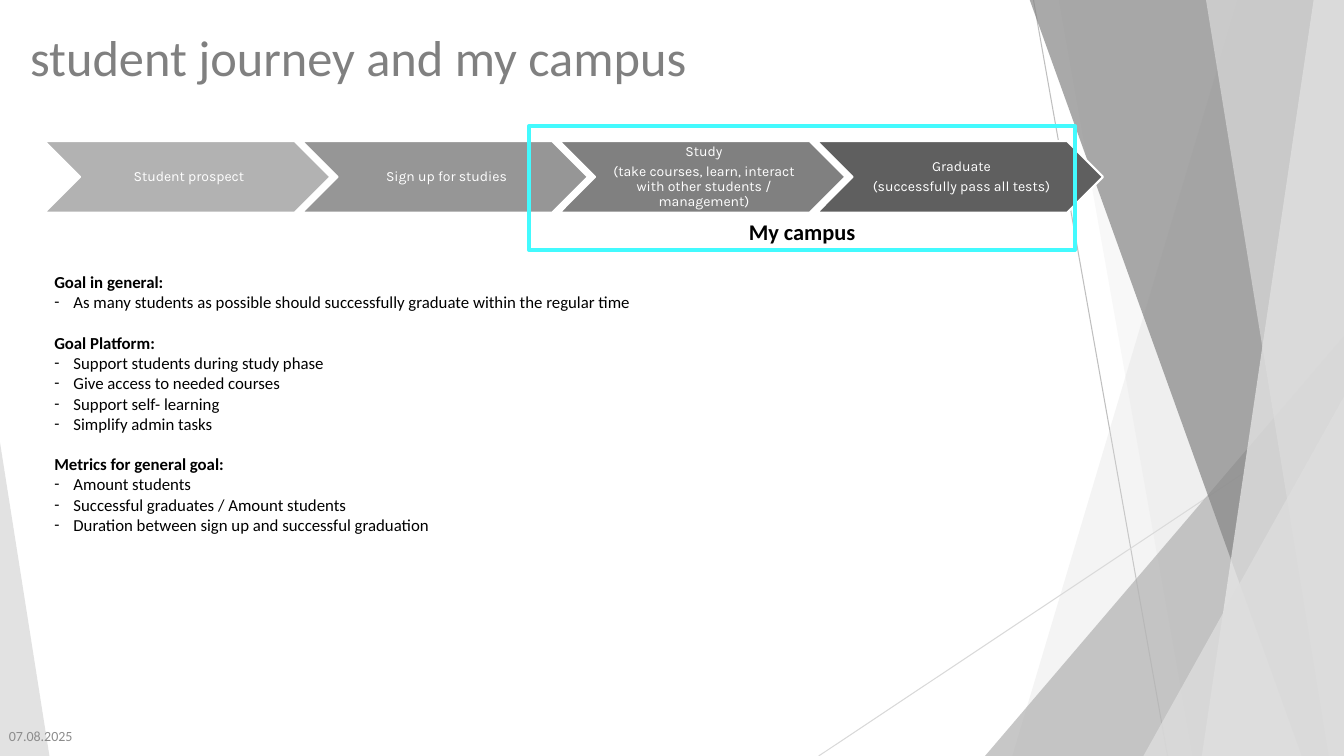
from dataclasses import dataclass

from lxml.etree import SubElement
from pptx import Presentation
from pptx.dml.color import RGBColor
from pptx.enum.shapes import MSO_CONNECTOR, MSO_SHAPE
from pptx.enum.text import MSO_ANCHOR as Anchor, MSO_AUTO_SIZE, PP_ALIGN as Align
from pptx.oxml.ns import qn
from pptx.util import Inches, Pt


@dataclass(frozen=True)
class Theme:
    """Colours, fonts and type sizes of the slide."""
    font: str = "Calibri"
    step_font: str = "Karla"
    title_size: int = 36
    label_size: int = 16
    body_size: int = 12
    small_size: int = 10
    ink: str = "000000"
    title: str = "808080"
    date: str = "8C8C8C"
    white: str = "FFFFFF"
    frame: str = "43FAFE"
    steps: tuple = ("B2B2B2", "969696", "808080", "5F5F5F")
    lines: tuple = ("BFBFBF", "D9D9D9")
    pale: str = "DDDDDD"
    light: str = "EBEBEB"
    mid: str = "B2B2B2"
    dark: str = "858585"


@dataclass(frozen=True)
class Box:
    """A rectangle in inches."""
    left: float
    top: float
    width: float
    height: float

    def lengths(self):
        """Return the four lengths that python-pptx expects."""
        return [Inches(value) for value in (self.left, self.top, self.width, self.height)]


THEME = Theme()
STEPS = (
    ("Student prospect",),
    ("Sign up for studies",),
    ("Study", "(take courses, learn, interact with other students / management)"),
    ("Graduate", "(successfully pass all tests)"),
)
GOALS = {
    "Goal in general:": (
        "As many students as possible should successfully graduate within the regular time",
    ),
    "Goal Platform:": (
        "Support students during study phase",
        "Give access to needed courses",
        "Support self- learning",
        "Simplify admin tasks",
    ),
    "Metrics for general goal:": (
        "Amount students",
        "Successful graduates / Amount students",
        "Duration between sign up and successful graduation",
    ),
}


def style(paragraph, size, colour, font=THEME.font, bold=False):
    """Format every run of a paragraph."""
    for run in paragraph.runs:
        run.font.name = font
        run.font.size = Pt(size)
        run.font.bold = bold
        run.font.color.rgb = RGBColor.from_string(colour)


def paint(shape, colour, opacity=100):
    """Fill a shape without outline or shadow."""
    shape.shadow.inherit = False
    shape.line.fill.background()
    shape.fill.solid()
    shape.fill.fore_color.rgb = RGBColor.from_string(colour)
    if opacity < 100:
        colour_element = shape.fill._xPr.find(qn("a:solidFill"))[0]
        SubElement(colour_element, qn("a:alpha"), val=str(opacity * 1000))


def outline(shape, colour, width):
    """Draw the outline of a shape or connector."""
    shape.line.color.rgb = RGBColor.from_string(colour)
    shape.line.width = Pt(width)


def add_text(slide, box, text, size, colour, anchor=Anchor.TOP):
    """Place one line of text in a wrapping box."""
    frame = slide.shapes.add_textbox(*box.lengths()).text_frame
    frame.word_wrap = True
    frame.vertical_anchor = anchor
    frame.text = text
    style(frame.paragraphs[0], size, colour)


def add_ray(slide, box, start, end, colour):
    """Draw a thin line between two points of the box."""
    points = [Inches(origin + value) for point in (start, end)
              for origin, value in zip((box.left, box.top), point)]
    ray = slide.shapes.add_connector(MSO_CONNECTOR.STRAIGHT, *points)
    outline(ray, colour, 0.75)
    SubElement(ray._element.spPr, qn("a:effectLst"))


def add_band(slide, box, top_x, bottom_x, colour, opacity):
    """Fill from a slanted edge to the right side of the box."""
    right, top, bottom = box.left + box.width, box.top - 0.01, box.top + box.height
    corners = [(box.left + top_x, top), (right, top), (right, bottom), (box.left + bottom_x, bottom)]
    start, *others = [(Inches(x), Inches(y)) for x, y in corners]
    builder = slide.shapes.build_freeform(*start)
    builder.add_line_segments(others, close=True)
    paint(builder.convert_to_shape(), colour, opacity)


def add_corner(slide, box, width, height, apex, colour, opacity):
    """Set a right triangle in a lower corner, with its apex at the slide edge."""
    left = box.left + apex * (box.width - width)
    place = Box(left, box.top + box.height - height, width, height)
    triangle = slide.shapes.add_shape(MSO_SHAPE.ISOSCELES_TRIANGLE, *place.lengths())
    triangle.adjustments[0] = apex
    paint(triangle, colour, opacity)


def add_facets(slide, box):
    """Layer the translucent facets from back to front."""
    add_ray(slide, box, (10.25, 0), (11.58, 7.5), THEME.lines[0])
    add_ray(slide, box, (13.33, 4.03), (8.12, 7.5), THEME.lines[1])
    for add, *values in (
        (add_band, 12.28, 10.04, THEME.pale, 30),
        (add_band, 10.5, 11.83, THEME.pale, 20),
        (add_corner, 3.56, 4.17, 1, THEME.mid, 72),
        (add_band, 10.21, 12.91, THEME.dark, 70),
        (add_band, 13.03, 11.92, THEME.light, 70),
        (add_band, 11.96, 13.18, THEME.pale, 65),
        (add_corner, 1.99, 3.57, 1, THEME.pale, 80),
        (add_corner, 0.49, 3.11, 0, THEME.pale, 85),
    ):
        add(slide, box, *values)


def add_goals(slide, box):
    """List the goals and metrics under bold headings."""
    frame = slide.shapes.add_textbox(*box.lengths()).text_frame
    frame.word_wrap = True
    frame.auto_size = MSO_AUTO_SIZE.SHAPE_TO_FIT_TEXT
    frame.text = "\n".join(line for heading, items in GOALS.items() for line in (heading, *items))
    for number, paragraph in enumerate(frame.paragraphs):
        is_heading = paragraph.text in GOALS
        style(paragraph, THEME.body_size, THEME.ink, bold=is_heading)
        if not is_heading:
            properties = paragraph._p.get_or_add_pPr()
            properties.set("marL", str(Inches(0.19)))
            properties.set("indent", str(-Inches(0.19)))
            SubElement(properties, qn("a:buFont"), typeface=THEME.font)
            SubElement(properties, qn("a:buChar"), char="-")
        elif number:
            paragraph.space_before = Pt(14.6)


def add_journey(slide, box):
    """Chain the steps of the journey as overlapping chevrons."""
    width = box.width / (1 + 0.9 * (len(STEPS) - 1))
    for number, (lines, colour) in enumerate(zip(STEPS, THEME.steps)):
        place = Box(box.left + number * 0.9 * width, box.top, width, box.height)
        chevron = slide.shapes.add_shape(MSO_SHAPE.CHEVRON, *place.lengths())
        paint(chevron, colour)
        outline(chevron, THEME.white, 1.5)
        frame = chevron.text_frame
        frame.word_wrap = True
        frame.vertical_anchor = Anchor.MIDDLE
        frame.margin_left = Inches(0.04)
        frame.margin_top = frame.margin_right = frame.margin_bottom = Inches(0.01)
        frame.text = "\n".join(lines)
        for paragraph in frame.paragraphs:
            paragraph.alignment = Align.CENTER
            paragraph.line_spacing = 0.9
            paragraph.space_after = Pt(3.5)
            style(paragraph, THEME.small_size, THEME.white, THEME.step_font)


def add_campus_frame(slide, box):
    """Frame the steps that the campus platform covers."""
    shape = slide.shapes.add_shape(MSO_SHAPE.RECTANGLE, *box.lengths())
    shape.shadow.inherit = False
    shape.fill.background()
    outline(shape, THEME.frame, 3)
    shape.text_frame.vertical_anchor = Anchor.BOTTOM
    shape.text_frame.text = "My campus"
    paragraph = shape.text_frame.paragraphs[0]
    paragraph.alignment = Align.CENTER
    style(paragraph, THEME.label_size, THEME.ink, bold=True)


def main():
    """Build and save the slide."""
    presentation = Presentation()
    presentation.slide_width, presentation.slide_height = Inches(13.33), Inches(7.5)
    slide = presentation.slides.add_slide(presentation.slide_layouts[6])
    add_facets(slide, Box(0, 0, 13.33, 7.5))
    add_text(slide, Box(0.2, 0.21, 9.4, 1.44), "student journey and my campus", THEME.title_size, THEME.title)
    add_goals(slide, Box(0.44, 2.65, 10.23, 3.33))
    add_journey(slide, Box(0.44, 1.4, 10.5, 0.71))
    add_campus_frame(slide, Box(5.25, 1.25, 5.41, 1.23))
    add_text(slide, Box(-0.01, 7.1, 1, 0.4), "07.08.2025", THEME.small_size, THEME.date, Anchor.MIDDLE)
    presentation.save("out.pptx")


if __name__ == "__main__":
    main()
